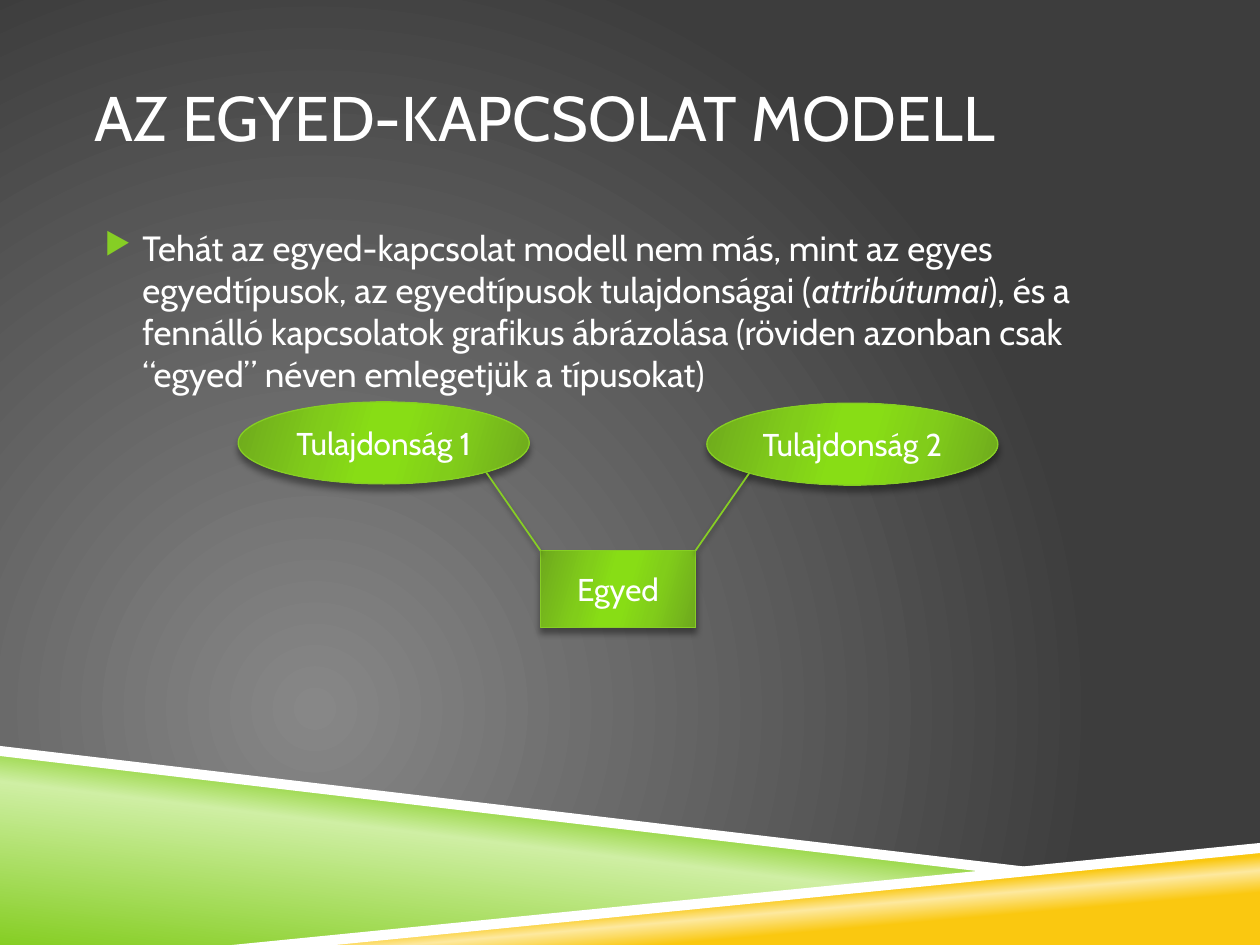
from dataclasses import dataclass

from lxml.etree import SubElement
from pptx import Presentation
from pptx.dml.color import RGBColor
from pptx.enum.shapes import MSO_CONNECTOR, MSO_SHAPE
from pptx.enum.text import MSO_ANCHOR, PP_ALIGN
from pptx.oxml.ns import qn
from pptx.util import Inches, Pt


@dataclass(frozen=True)
class Theme:
    font: str = "Cabin"
    title_size: int = 36
    body_size: int = 20
    label_size: int = 18
    white: str = "FFFFFF"
    green: str = "86CE24"
    shadow: str = "000000"
    background: tuple = ((0, "878787"), (100, "3D3D3D"))
    green_band: tuple = ((0, "86CE24"), (52, "CFEFA4"), (66, "86CE24"))
    yellow_band: tuple = ((28, "FAC810"), (40, "FDE99F"), (48, "FAC810"))
    node: tuple = ((0, "6EA91D"), (30, "81CD1A"), (45, "88DD15"),
                   (55, "88DD15"), (73, "81CD1A"), (100, "6EA91D"))


THEME = Theme()


def add_xml(parent, tag, **attributes):
    return SubElement(parent, qn(tag), {key: str(value) for key, value in attributes.items()})


def set_gradient(fill, owner, stops, angle=None):
    """Fill with clockwise linear stops, or with a circle at lower left if no angle is given."""
    fill.gradient()
    gradient = next(owner.iter(qn("a:gradFill")))
    for child in list(gradient):
        gradient.remove(child)
    stop_list = add_xml(gradient, "a:gsLst")
    for position, color in stops:
        stop = add_xml(stop_list, "a:gs", pos=position * 1000)
        add_xml(stop, "a:srgbClr", val=color)
    if angle is None:
        circle = add_xml(gradient, "a:path", path="circle")
        add_xml(circle, "a:fillToRect", l=50000, t=100000, r=100000, b=50000)
    else:
        add_xml(gradient, "a:lin", ang=angle * 60000, scaled=0)


def add_shadow(shape, blur, distance):
    effects = add_xml(shape.element.spPr, "a:effectLst")
    shadow = add_xml(effects, "a:outerShdw", blurRad=Pt(blur), dist=Pt(distance),
                     dir=90 * 60000, rotWithShape=0)
    color = add_xml(shadow, "a:srgbClr", val=THEME.shadow)
    add_xml(color, "a:alpha", val=40000)


def set_line(line, width):
    line.color.rgb = RGBColor.from_string(THEME.green)
    line.width = Pt(width)


def set_font(para, size):
    para.font.name = THEME.font
    para.font.size = Pt(size)
    para.font.color.rgb = RGBColor.from_string(THEME.white)


def add_band(page, points, stops=None, angle=None):
    """Add a polygon, white unless gradient stops are given."""
    corners = [(Inches(x), Inches(y)) for x, y in points]
    builder = page.shapes.build_freeform(*corners[0])
    builder.add_line_segments(corners[1:], close=True)
    band = builder.convert_to_shape()
    if stops:
        set_gradient(band.fill, band.element, stops, angle)
    else:
        band.fill.solid()
        band.fill.fore_color.rgb = RGBColor.from_string(THEME.white)
    band.line.fill.background()
    band.shadow.inherit = False


def add_text(page, top, height, size, anchor, spans):
    """Add a one-paragraph text box from (text, italic) spans."""
    box = page.shapes.add_textbox(Inches(0.75), Inches(top), Inches(8.5), Inches(height))
    frame = box.text_frame
    frame.word_wrap = True
    frame.margin_left = frame.margin_right = 0
    frame.vertical_anchor = anchor
    para = frame.paragraphs[0]
    set_font(para, size)
    for text, italic in spans:
        span = para.add_run()
        span.text = text
        if italic:
            span.font.italic = True
    return para


def add_bullet(para):
    para.space_before = Pt(7)
    properties = para._p.get_or_add_pPr()
    properties.set("marL", str(Inches(0.38)))
    properties.set("indent", str(Inches(-0.3)))
    bullet = [add_xml(properties, "a:buClr"),
              add_xml(properties, "a:buSzPct", val=85000),
              add_xml(properties, "a:buChar", char="▶")]
    add_xml(bullet[0], "a:srgbClr", val=THEME.green)
    defaults = properties.find(qn("a:defRPr"))
    for element in bullet:
        defaults.addprevious(element)


def add_node(page, kind, left, top, width, height, label):
    node = page.shapes.add_shape(kind, Inches(left), Inches(top), Inches(width), Inches(height))
    set_gradient(node.fill, node.element, THEME.node, 16)
    set_line(node.line, 0.75)
    add_shadow(node, 4, 3.3)
    frame = node.text_frame
    frame.vertical_anchor = MSO_ANCHOR.MIDDLE
    para = frame.paragraphs[0]
    para.text = label
    para.alignment = PP_ALIGN.CENTER
    set_font(para, THEME.label_size)


def add_link(page, start, end):
    link = page.shapes.add_connector(
        MSO_CONNECTOR.STRAIGHT, *(Inches(value) for value in start + end))
    set_line(link.line, 1)
    add_shadow(link, 3, 2)


def add_backdrop(page):
    set_gradient(page.background.fill, page.element, THEME.background)
    add_band(page, [(0, 5.97), (7.92, 6.92), (2, 7.5), (0, 7.5)], THEME.green_band, 277)
    add_band(page, [(1.98, 7.5), (10, 6.72), (10, 7.5)], THEME.yellow_band, 265)
    add_band(page, [(0, 5.92), (0, 6), (7.9, 6.93), (8.32, 6.9)])
    add_band(page, [(10, 6.69), (1.84, 7.5), (2.66, 7.5), (10, 6.77)])


def add_diagram(page):
    add_node(page, MSO_SHAPE.RECTANGLE, 4.29, 4.37, 1.23, 0.61, "Egyed")
    add_node(page, MSO_SHAPE.OVAL, 1.89, 3.19, 2.31, 0.65, "Tulajdonság 1")
    add_node(page, MSO_SHAPE.OVAL, 5.61, 3.2, 2.31, 0.65, "Tulajdonság 2")
    add_link(page, (5.52, 4.37), (5.95, 3.75))
    add_link(page, (4.29, 4.37), (3.86, 3.75))


def main():
    deck = Presentation()
    deck.slide_width, deck.slide_height = Inches(10), Inches(7.5)
    page = deck.slides.add_slide(deck.slide_layouts[6])
    add_backdrop(page)
    add_text(page, 0.3, 1.25, THEME.title_size, MSO_ANCHOR.MIDDLE,
             [("AZ EGYED-KAPCSOLAT MODELL", False)])
    body = add_text(page, 1.75, 4.08, THEME.body_size, MSO_ANCHOR.TOP, [
        ("Tehát az egyed-kapcsolat modell nem más, mint az egyes egyedtípusok, "
         "az egyedtípusok tulajdonságai (", False),
        ("attribútumai", True),
        ("), és a fennálló kapcsolatok grafikus ábrázolása "
         "(röviden azonban csak “egyed” néven emlegetjük a típusokat)", False),
    ])
    add_bullet(body)
    add_diagram(page)
    deck.save("out.pptx")


if __name__ == "__main__":
    main()
